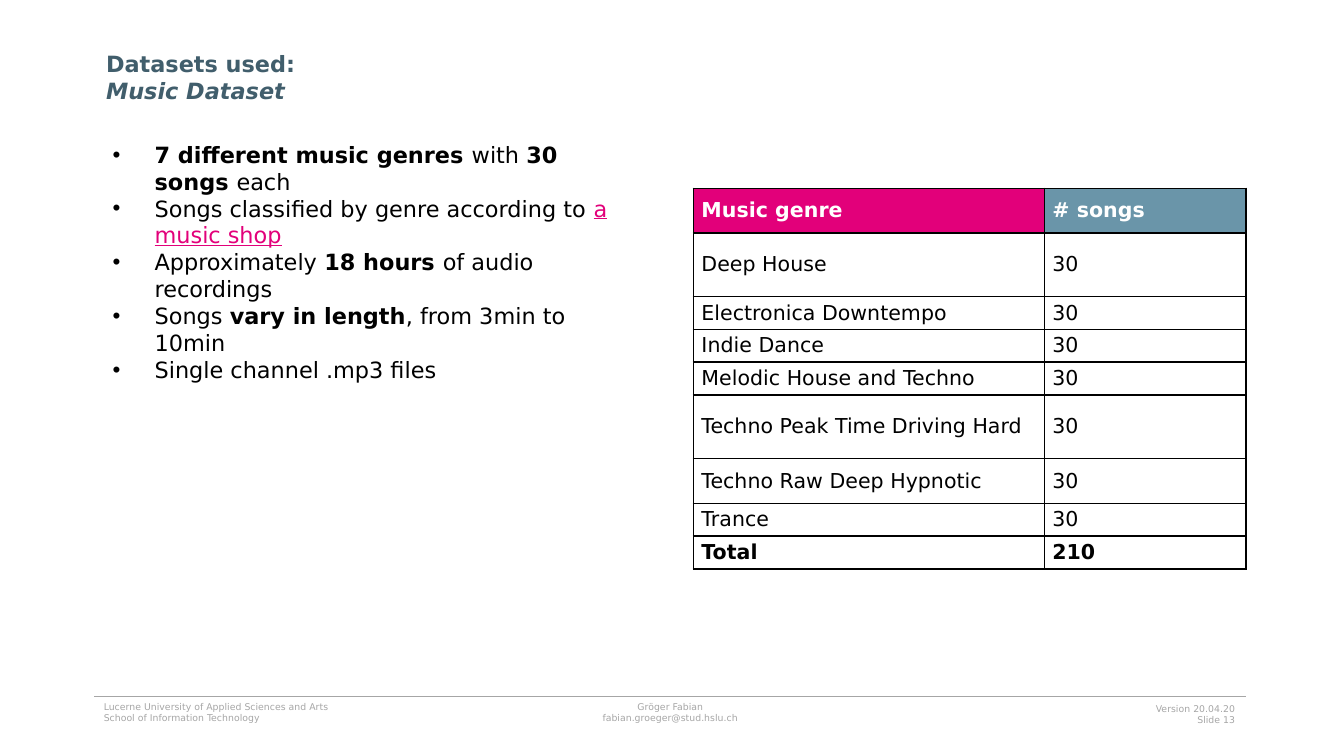
"""Build the music dataset slide."""
from lxml import etree
from pptx import Presentation
from pptx.dml.color import RGBColor
from pptx.enum import text as t
from pptx.oxml import ns
from pptx.util import Pt

FONT = "DejaVu Sans"
BLACK = RGBColor(0, 0, 0)
WHITE = RGBColor(255, 255, 255)
GREY = RGBColor(0xA6, 0xA6, 0xA6)
SLATE = RGBColor(0x41, 0x5E, 0x6C)
PINK = RGBColor(0xE2, 0x00, 0x7A)
BLUE = RGBColor(0x6A, 0x95, 0xA9)
LEFT, RIGHT = t.PP_ALIGN.LEFT, t.PP_ALIGN.RIGHT

TITLE = ("Datasets used: ", "Music Dataset")
POINTS = [
    [("7 different music genres ", "bold"), ("with ", ""), ("30 songs ", "bold"), ("each", "")],
    [("Songs classified by genre according to ", ""), ("a music shop", "link")],
    [("Approximately ", ""), ("18 hours ", "bold"), ("of audio recordings", "")],
    [("Songs ", ""), ("vary in length", "bold"), (", from 3min to 10min", "")],
    [("Single channel .mp3 files", "")],
]
HEAD = ("Music genre", "# songs")
GENRES = [
    ("Deep House", 34), ("Electronica Downtempo", 17.5), ("Indie Dance", 17.5),
    ("Melodic House and Techno", 17.5), ("Techno Peak Time Driving Hard", 34),
    ("Techno Raw Deep Hypnotic", 24), ("Trance", 17.5),
]
COUNT = 30
FOOT = [
    (("Lucerne University of Applied Sciences and Arts", "School of Information Technology"), LEFT),
    (("Gröger Fabian", "fabian.groeger@stud.hslu.ch"), t.PP_ALIGN.CENTER),
    ((), LEFT),
]
STAMP = ("Version 20.04.20", "Slide 13")


def style(font, size, color, bold=False):
    font.name, font.size, font.bold = FONT, Pt(size), bold
    font.color.rgb = color


def inset(item, x, y):
    item.margin_left = item.margin_right = Pt(x)
    item.margin_top = item.margin_bottom = Pt(y)


def box(slide, x, y, w, h, wrap=True):
    frame = slide.shapes.add_textbox(Pt(x), Pt(y), Pt(w), Pt(h)).text_frame
    frame.word_wrap = wrap
    return frame


def lines(frame, texts, align):
    frame.text = "\n".join(texts)
    for para in frame.paragraphs:
        para.alignment = align
        style(para.font, 5, GREY)


def edge(cell, sides, color, width):
    props = cell._tc.get_or_add_tcPr()
    for i, side in enumerate("LRTB"):
        line = etree.Element(ns.qn(f"a:ln{side}"), w=str(Pt(width)))
        if side in sides:
            fill = etree.SubElement(line, ns.qn("a:solidFill"))
            etree.SubElement(fill, ns.qn("a:srgbClr"), val=str(color))
        else:
            etree.SubElement(line, ns.qn("a:noFill"))
        props.insert(i, line)


def grid(slide, x, y, cols, rows):
    shape = slide.shapes.add_table(
        len(rows), len(cols), Pt(x), Pt(y), Pt(sum(cols)), Pt(sum(rows)))
    table = shape.table
    table.first_row = table.horz_banding = False
    for col, w in zip(table.columns, cols):
        col.width = Pt(w)
    for row, h in zip(table.rows, rows):
        row.height = Pt(h)
    return table


def footer(slide):
    table = grid(slide, 50.6, 373, [205.7] * 3, [17.3])
    for cell, (texts, align) in zip(table.rows[0].cells, FOOT):
        inset(cell, 5, 2.9)
        lines(cell.text_frame, texts, align)
        if not texts:
            end = cell.text_frame.paragraphs[0]._p.get_or_add_endParaRPr()
            end.set("sz", "500")
        cell.fill.solid()
        cell.fill.fore_color.rgb = WHITE
        edge(cell, "T", GREY, 0.25)
    lines(box(slide, 611.3, 373, 57.6, 19.4, False), STAMP, RIGHT)


def title(slide):
    frame = box(slide, 51, 20.9, 502, 51)
    inset(frame, 5.8, 5.8)
    para = frame.paragraphs[0]
    style(para.font, 12, SLATE, True)
    para.add_run().text = TITLE[0]
    para.add_line_break()
    run = para.add_run()
    run.text = TITLE[1]
    run.font.italic = True


def points(slide):
    frame = box(slide, 53.3, 72, 296, 138)
    for i, parts in enumerate(POINTS):
        para = frame.add_paragraph() if i else frame.paragraphs[0]
        props = para._p.get_or_add_pPr()
        props.set("marL", str(Pt(22.5)))
        props.set("indent", str(Pt(-22.5)))
        etree.SubElement(props, ns.qn("a:buFont"), typeface="Arial")
        etree.SubElement(props, ns.qn("a:buChar"), char="•")
        for words, kind in parts:
            run = para.add_run()
            run.text = words
            link = kind == "link"
            style(run.font, 12, PINK if link else BLACK, kind == "bold")
            run.font.underline = link


def genres(slide):
    rows = [(HEAD, 24)]
    rows += [((name, str(COUNT)), h) for name, h in GENRES]
    rows.append((("Total", str(COUNT * len(GENRES))), 17.5))
    table = grid(slide, 371.5, 100.9, [188, 108], [h for _, h in rows])
    for i, (words, _) in enumerate(rows):
        for j, word in enumerate(words):
            cell = table.cell(i, j)
            cell.text = word
            inset(cell, 4.3, 2.2)
            cell.vertical_anchor = t.MSO_ANCHOR.MIDDLE
            bold = i in (0, len(rows) - 1)
            style(cell.text_frame.paragraphs[0].font, 11, BLACK if i else WHITE, bold)
            if i:
                cell.fill.background()
            else:
                cell.fill.solid()
                cell.fill.fore_color.rgb = (PINK, BLUE)[j]
            edge(cell, "LRTB", BLACK, 1)


def main():
    deck = Presentation()
    deck.slide_width, deck.slide_height = Pt(720), Pt(405)
    slide = deck.slides.add_slide(deck.slide_layouts[6])
    for part in (footer, title, points, genres):
        part(slide)
    deck.save("out.pptx")


if __name__ == "__main__":
    main()
